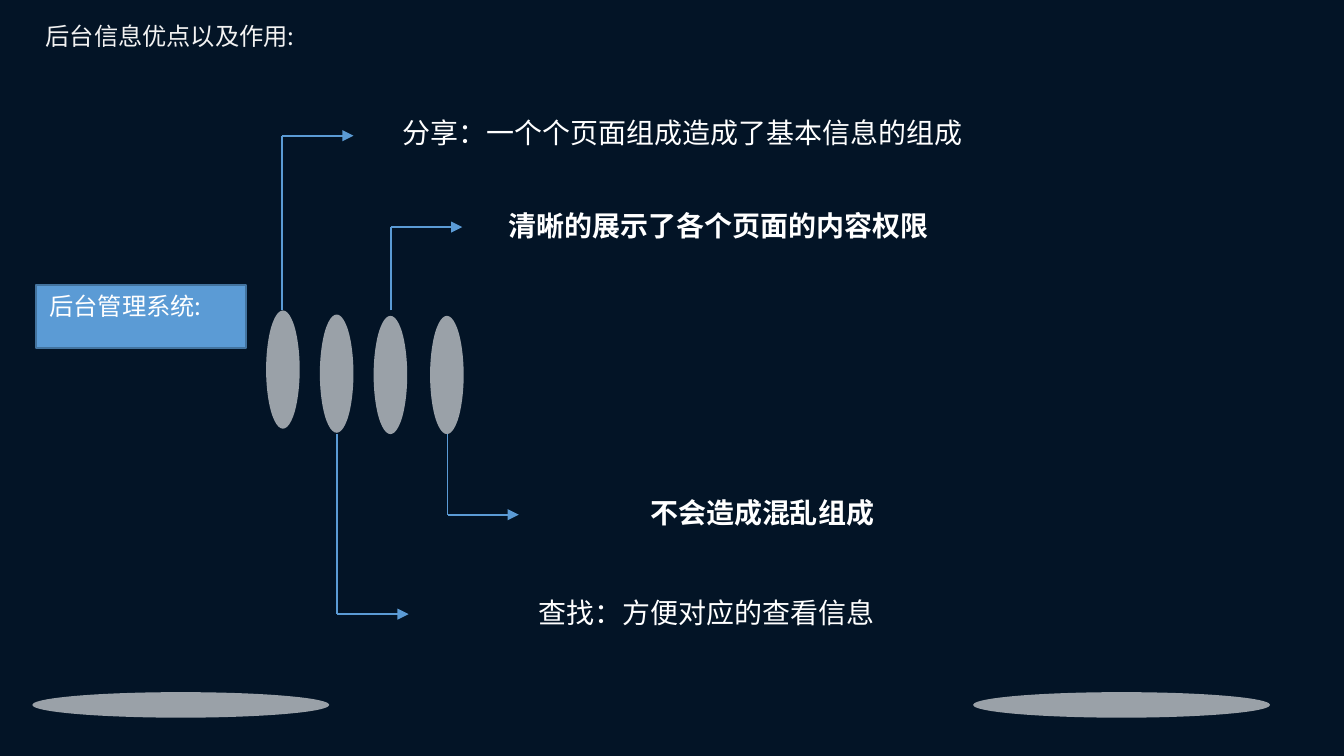
from pptx import Presentation
from pptx.dml.color import RGBColor
from pptx.enum.shapes import MSO_CONNECTOR, MSO_SHAPE
from pptx.enum.text import MSO_ANCHOR, PP_ALIGN
from pptx.oxml.ns import qn
from pptx.util import Inches, Pt
from lxml import etree

CJK = "Noto Sans CJK SC"


def rgb(value):
    return RGBColor.from_string(value)


def style_text(shape, text, size, color, font=CJK, bold=False, align=PP_ALIGN.LEFT):
    tf = shape.text_frame
    tf.word_wrap = True
    tf.text = text
    p = tf.paragraphs[0]
    p.alignment = align
    r = p.runs[0]
    r.font.size, r.font.bold, r.font.name = Pt(size), bold, font
    r.font.color.rgb = rgb(color)
    etree.SubElement(r.font._element, qn("a:ea"), typeface=CJK)
    return tf


prs = Presentation()
prs.slide_width = Inches(10)
prs.slide_height = Inches(10 * 9 / 16)
s = prs.slides.add_slide(prs.slide_layouts[5])
s.background.fill.solid()
s.background.fill.fore_color.rgb = rgb("031426")

title = s.shapes.title
title.left, title.top = Inches(0.24), Inches(0.11)
title.width, title.height = Inches(2.19), Inches(0.32)
tf = style_text(title, "后台信息优点以及作用:", 13, "F2F2F2")
tf.vertical_anchor = MSO_ANCHOR.MIDDLE
tf.margin_top = tf.margin_bottom = 0

# Branches: stem x, stem start y, arrow y
branches = [(2.1, 2.31, 1.01), (2.91, 2.31, 1.69), (2.51, 3.23, 4.57), (3.33, 3.23, 3.83)]
for x, start, y in branches:
    stem = (x, start, x, y)
    arrow = (x, y, x + 0.53, y)
    for points in (stem, arrow):
        line = s.shapes.add_connector(MSO_CONNECTOR.STRAIGHT, *[Inches(v) for v in points])
        line.line.color.rgb = rgb("5B9BD5")
        line.line.width = Pt(1)
        if points is arrow:
            etree.SubElement(line.line._get_or_add_ln(), qn("a:tailEnd"), type="triangle")
        etree.SubElement(line._element.spPr, qn("a:effectLst"))

# Labels: left, top, width, text, font, bold
labels = [
    (2.78, 0.84, 4.6, "分享：一个个页面组成造成了基本信息的组成", CJK, False),
    (3.03, 4.41, 4.45, "查找：方便对应的查看信息", CJK, False),
    (3.33, 1.53, 4.04, "清晰的展示了各个页面的内容权限", "Arial", True),
    (3.61, 3.67, 4.12, "不会造成混乱组成", "Arial", True),
]
for left, top, width, text, font, bold in labels:
    box = s.shapes.add_textbox(Inches(left), Inches(top), Inches(width), Inches(0.33))
    tf = style_text(box, text, 15, "FFFFFF", font, bold, PP_ALIGN.CENTER)
    tf.margin_top, tf.margin_bottom = Inches(0.05), 0
    tf.paragraphs[0].line_spacing = 0.9

# Upright nodes, then the two flat ellipses at the foot
ellipses = [(x, y, 0.25, 0.88) for x, y in [(1.98, 2.31), (2.38, 2.34), (2.78, 2.35), (3.2, 2.35)]]
ellipses += [(x, 5.15, 2.21, 0.19) for x in (0.24, 7.24)]
for bounds in ellipses:
    sp = s.shapes.add_shape(MSO_SHAPE.OVAL, *[Inches(v) for v in bounds])
    sp.shadow.inherit = False
    sp.fill.solid()
    sp.fill.fore_color.rgb = rgb("FFFFFF")
    color = sp._element.spPr.find(qn("a:solidFill")).find(qn("a:srgbClr"))
    etree.SubElement(color, qn("a:alpha"), val="60000")
    sp.line.fill.background()

system = s.shapes.add_shape(MSO_SHAPE.RECTANGLE, Inches(0.27), Inches(2.12), Inches(1.56), Inches(0.47))
system.shadow.inherit = False
system.fill.solid()
system.fill.fore_color.rgb = rgb("5B9BD5")
system.line.color.rgb = rgb("43739E")
system.line.width = Pt(1)
tf = style_text(system, "后台管理系统:", 13, "FFFFFF")
tf.vertical_anchor = MSO_ANCHOR.TOP

prs.save("out.pptx")
